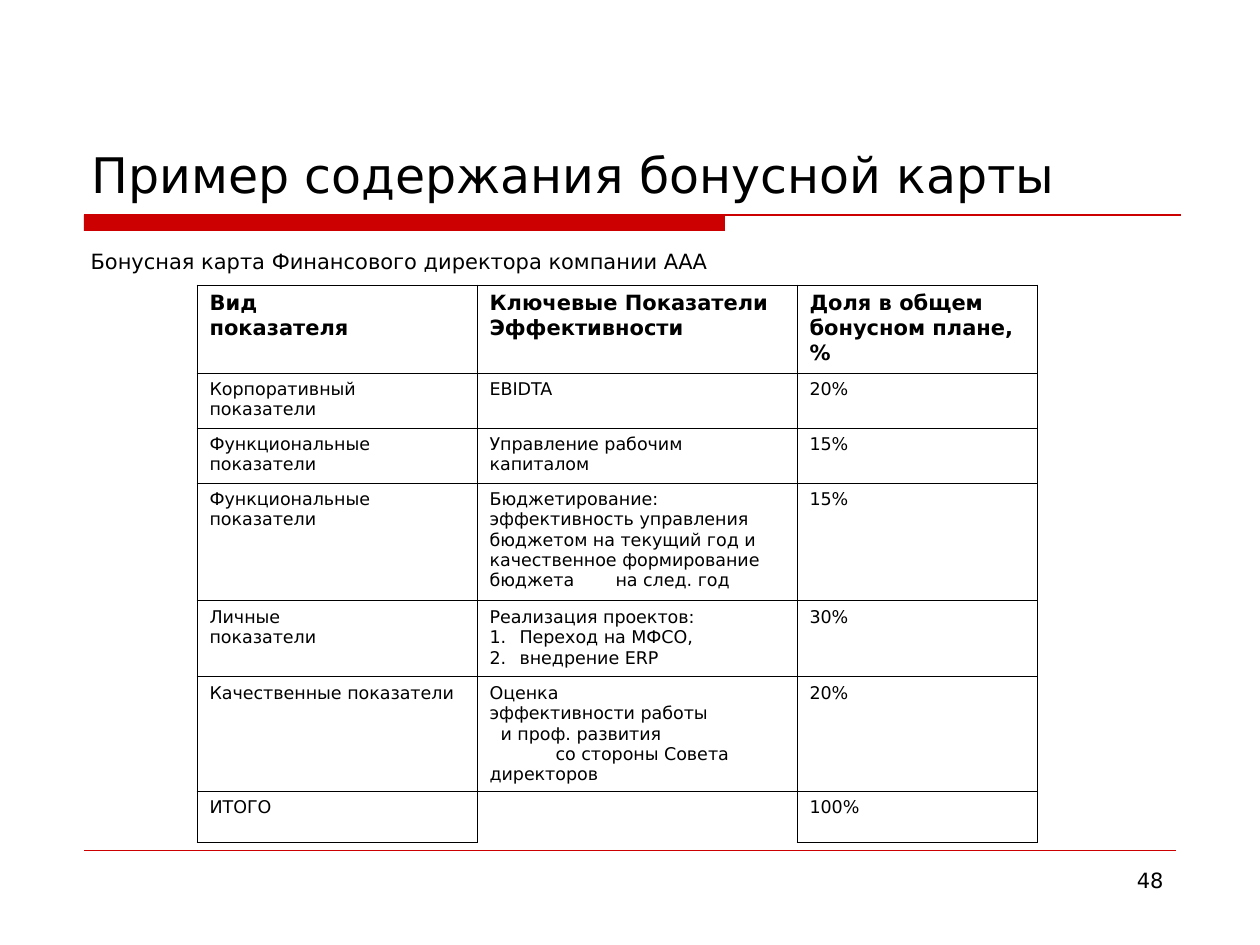
from lxml.etree import SubElement
from pptx import Presentation
from pptx.dml.color import RGBColor
from pptx.enum.shapes import MSO_CONNECTOR as Connector, MSO_SHAPE as Shape
from pptx.enum.text import MSO_ANCHOR as Anchor, MSO_AUTO_SIZE as AutoSize, PP_ALIGN as Align
from pptx.oxml.ns import qn
from pptx.util import Pt

SCALE = 914400 / 126
FONT, BLACK, WHITE, RED = "DejaVu Sans", "000000", "FFFFFF", "CC0000"

TITLE = "Пример содержания бонусной карты"
SUBTITLE = "Бонусная карта Финансового директора компании ААА"
PAGE_NUMBER = "48"
NUMBERED = {"margin": 30, "indent": -30, "bullet": "buAutoNum"}
COLUMNS = [280, 320, 240]
ROWS = [
    (88, [["Вид", "показателя"], ["Ключевые Показатели Эффективности"],
          ["Доля в общем бонусном плане,", "%"]]),
    (55, [["Корпоративный показатели"], ["EBIDTA"], ["20%"]]),
    (55, [["Функциональные", "показатели"], ["Управление рабочим капиталом"], ["15%"]]),
    (118, [["Функциональные", "показатели"],
           ["Бюджетирование:",
            ("эффективность управления бюджетом на текущий год и качественное "
             "формирование бюджета\tна след. год", {"tab": 124})],
           ["15%"]]),
    (76, [["Личные", "показатели"],
          ["Реализация проектов:", ("Переход на МФСО,", NUMBERED), ("внедрение ERP", NUMBERED)],
          ["30%"]]),
    (97, [["Качественные показатели"],
          ["Оценка", "эффективности работы", ("и проф. развития", {"indent": 11}),
           ("со стороны Совета директоров", {"indent": 66})],
          ["20%"]]),
    (49, [["ИТОГО"], [], ["100%"]]),
]
OPEN_EDGES = {(6, 0): "R", (6, 1): "B", (6, 2): "L"}
OPEN_EDGES = {(6, 1): "B"}


def px(value):
    """Turn pixels into EMU."""
    return round(value * SCALE)


def color(value):
    """Turn a hex string into a colour."""
    return RGBColor.from_string(value)


def layout_paragraph(para, margin=0, indent=0, bullet=None, tab=None):
    """Set the indents, bullet and tab stop of a paragraph."""
    props = para._p.get_or_add_pPr()
    for name, value in {"marL": margin, "indent": indent}.items():
        props.set(name, str(px(value)))
    if bullet:
        mark = SubElement(props, qn("a:" + bullet))
        if bullet == "buAutoNum":
            mark.set("type", "arabicPeriod")
    if tab:
        stop = SubElement(SubElement(props, qn("a:tabLst")), qn("a:tab"))
        stop.set("pos", str(px(tab)))
        stop.set("algn", "l")


def write(para, text, size, bold=False):
    """Add formatted text to a paragraph."""
    span = para.add_run()
    span.text = text
    for name, value in {"name": FONT, "size": Pt(size), "bold": bold}.items():
        setattr(span.font, name, value)
    span.font.color.rgb = color(BLACK)


def place(box, left, top, width, height, anchor):
    """Move a text shape and set up its frame."""
    for name, value in {"left": left, "top": top, "width": width, "height": height}.items():
        setattr(box, name, px(value))
    frame = box.text_frame
    for name, value in {"word_wrap": True, "auto_size": AutoSize.NONE,
                        "vertical_anchor": anchor}.items():
        setattr(frame, name, value)
    return frame.paragraphs[0]


def add_rule(page, left, right, y, width):
    """Draw a horizontal red line."""
    rule = page.shapes.add_connector(Connector.STRAIGHT, px(left), px(y), px(right), px(y))
    rule.line.color.rgb = color(RED)
    rule.line.width = Pt(width)
    SubElement(rule.element.spPr, qn("a:effectLst"))


def outline(cell, open_edge):
    """Draw the cell borders except the open edge."""
    props = cell._tc.get_or_add_tcPr()
    for edge in "LRTB":
        line = SubElement(props, qn("a:ln" + edge), w=str(Pt(0.45)))
        if edge == open_edge:
            SubElement(line, qn("a:noFill"))
        else:
            SubElement(SubElement(line, qn("a:solidFill")), qn("a:srgbClr"), val=BLACK)


def add_bonus_table(page):
    """Build the bonus card table."""
    heights = [height for height, _ in ROWS]
    table = page.shapes.add_table(len(ROWS), len(COLUMNS), px(197), px(285),
                                  px(sum(COLUMNS)), px(sum(heights))).table
    table.first_row = table.horz_banding = False
    for column, width in zip(table.columns, COLUMNS):
        column.width = px(width)
    for r, (height, cells) in enumerate(ROWS):
        table.rows[r].height = px(height)
        for c, items in enumerate(cells):
            cell = table.cell(r, c)
            outline(cell, OPEN_EDGES.get((r, c)))
            cell.fill.solid()
            cell.fill.fore_color.rgb = color(WHITE)
            for i, item in enumerate(items):
                text, layout = (item, {}) if isinstance(item, str) else item
                frame = cell.text_frame
                para = frame.add_paragraph() if i else frame.paragraphs[0]
                layout_paragraph(para, **layout)
                write(para, text, 10 if r else 12, bold=r == 0)


def main():
    """Build and save the slide."""
    deck = Presentation()
    deck.slide_width, deck.slide_height = px(1260), px(945)
    page = deck.slides.add_slide(deck.slide_layouts[1])

    para = place(page.shapes.title, 79, 42, 1103, 168, Anchor.BOTTOM)
    para.alignment = Align.LEFT
    write(para, TITLE, 28)

    para = place(page.placeholders[1], 78, 242, 1103, 588, Anchor.TOP)
    para.space_before = Pt(3)
    layout_paragraph(para, margin=64, indent=-64, bullet="buNone")
    write(para, SUBTITLE, 12)

    bar = page.shapes.add_shape(Shape.RECTANGLE, px(84), px(215), px(641), px(16))
    bar.shadow.inherit = False
    bar.fill.solid()
    bar.fill.fore_color.rgb = color(RED)
    bar.line.fill.background()
    add_rule(page, 84, 1181, 215, 0.75)
    add_rule(page, 84, 1176, 850, 0.25)

    para = place(page.shapes.add_textbox(0, 0, 0, 0), 903, 861, 273, 66, Anchor.TOP)
    para.alignment = Align.RIGHT
    write(para, PAGE_NUMBER, 12)

    add_bonus_table(page)
    deck.save("out.pptx")


if __name__ == "__main__":
    main()
